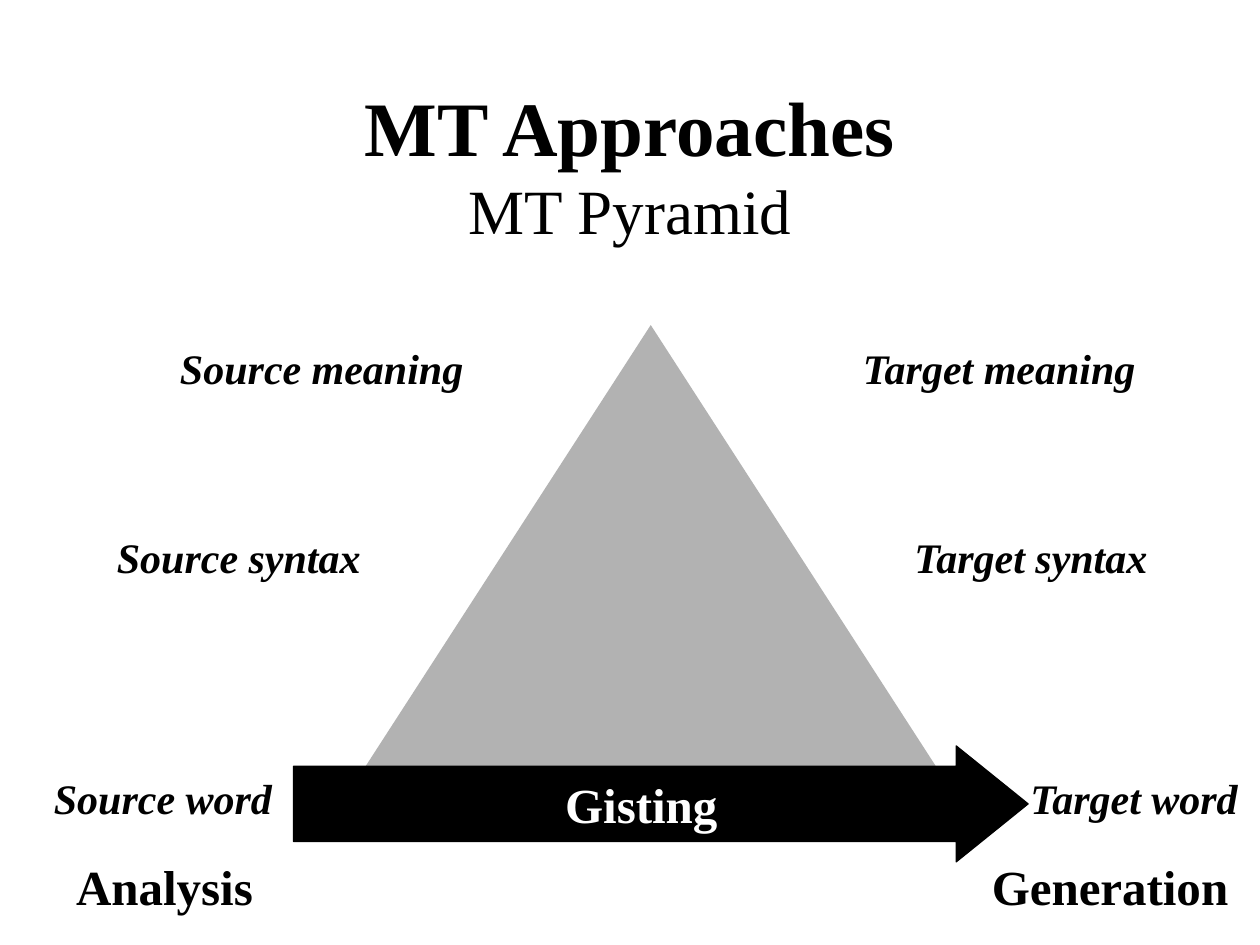
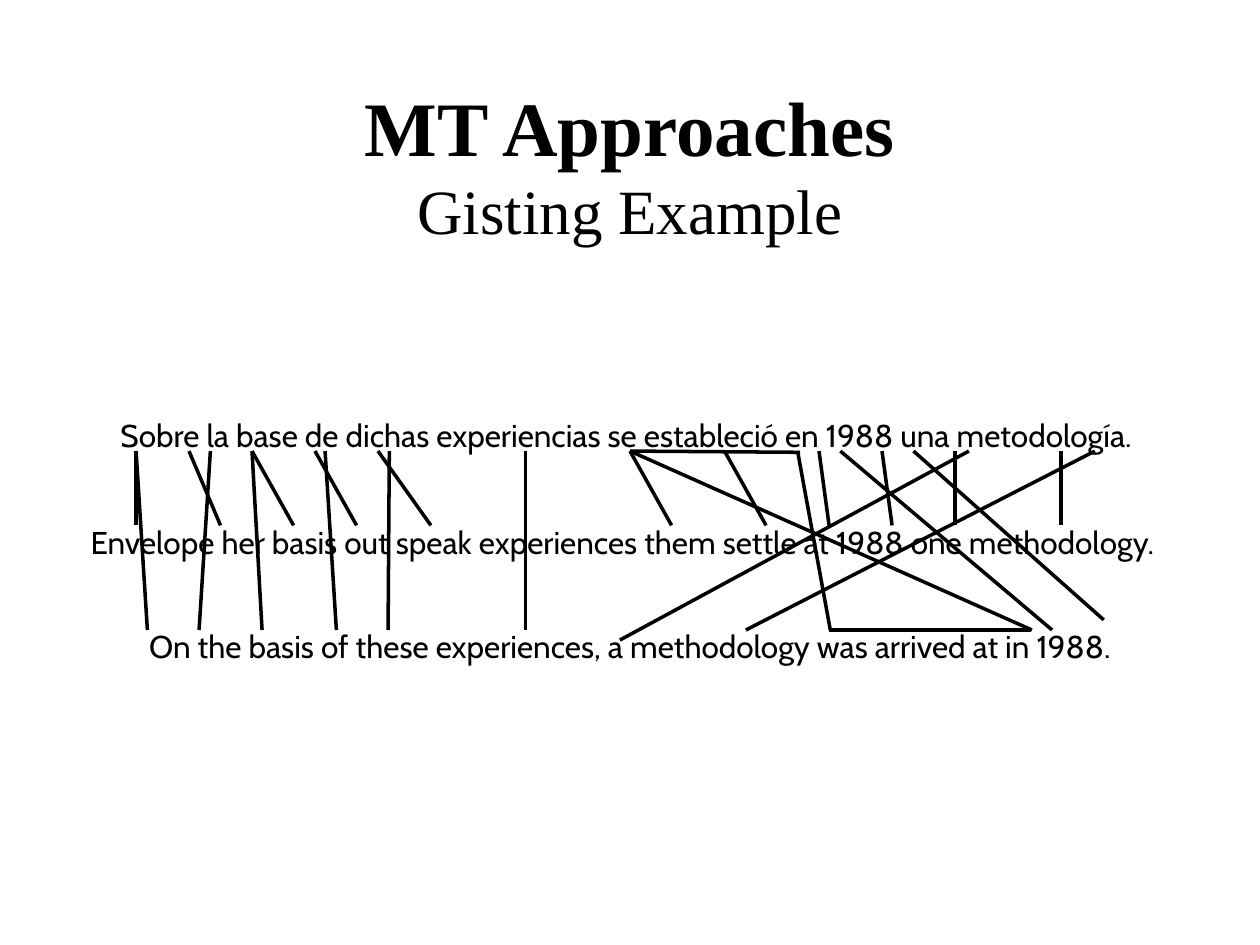
"""Two slides on machine translation: the MT pyramid and a gisting example."""
from pptx import Presentation
from pptx.dml.color import RGBColor
from pptx.enum import shapes, text
from pptx.oxml import parse_xml
from pptx.oxml.ns import nsdecls
from pptx.util import Emu, Pt

PX = 9144
SERIF, SANS = "Times New Roman", "Cabin"
BLACK, WHITE, GRAY = "000000", "FFFFFF", "B2B2B2"
LEFT, CENTER = text.PP_ALIGN.LEFT, text.PP_ALIGN.CENTER

HEADING = "MT Approaches"
LEVELS = [
    ("Source meaning", 133, 267, 309), ("Target meaning", 675, 267, 259),
    ("Source syntax", 83, 417, 284), ("Target syntax", 716, 417, 284),
    ("Source word", 33, 608, 250), ("Target word", 808, 608, 192),
]
PHASES = [("Analysis", 50, 675, 161), ("Generation", 777, 675, 208)]

SENTENCES = [
    ("Sobre la base de dichas experiencias se estableció en 1988 una metodología.", 325, 994),
    ("Envelope her basis out speak experiences them settle at 1988 one methodology.", 410, 988),
    ("On the basis of these experiences, a methodology was arrived at in 1988.", 493, 1000),
]
SPANISH_Y, GIST_Y, ENGLISH_Y = 358, 417, 500
GIST_LINKS = [
    (108, 108), (150, 175), (200, 233), (250, 283), (300, 342), (417, 417),
    (500, 533), (575, 608), (650, 658), (700, 708), (758, 758), (842, 842),
]
ENGLISH_LINKS = [
    (108, 117), (167, 158), (200, 208), (258, 267), (309, 308), (417, 417),
    (500, 819), (633, 659), (667, 835), (869, 592),
]
OTHER_LINKS = [
    (500, SPANISH_Y, 635, SPANISH_Y + 1), (658, ENGLISH_Y, 818, ENGLISH_Y),
    (725, SPANISH_Y, 876, 492), (769, SPANISH_Y, 492, 508),
]


def px(*lengths):
    return [Emu(n * PX) for n in lengths]


def color(value):
    return RGBColor.from_string(value)


def add_run(p, words, size, font=SERIF, fill=BLACK, bold=False, italic=False):
    r = p.add_run()
    r.text = words
    r.font.name, r.font.size = font, Pt(size)
    r.font.bold, r.font.italic = bold, italic
    r.font.color.rgb = color(fill)


def add_box(s, box, align=LEFT, wrap=True):
    tf = s.shapes.add_textbox(*px(*box)).text_frame
    tf.word_wrap = wrap
    tf.paragraphs[0].alignment = align
    return tf


def add_label(s, words, box, size, align=LEFT, wrap=True, **style):
    add_run(add_box(s, box, align, wrap).paragraphs[0], words, size, **style)


def add_block(s, kind, box, fill, adjustments):
    sp = s.shapes.add_shape(kind, *px(*box))
    sp.shadow.inherit = False
    sp.fill.solid()
    sp.fill.fore_color.rgb = color(fill)
    sp.line.fill.background()
    for i, value in enumerate(adjustments):
        sp.adjustments[i] = value
    return sp


def add_link(s, x1, y1, x2, y2):
    link = s.shapes.add_connector(shapes.MSO_CONNECTOR.STRAIGHT, *px(x1, y1, x2, y2))
    link.line.color.rgb = color(BLACK)
    link.line.width = Pt(2)
    link._element.spPr.append(parse_xml(f"<a:effectLst {nsdecls('a')}/>"))


def add_slide(prs, subtitle):
    s = prs.slides.add_slide(prs.slide_layouts[6])
    tf = add_box(s, (75, 67, 850, 125), CENTER)
    tf.vertical_anchor = text.MSO_ANCHOR.MIDDLE
    p = tf.paragraphs[0]
    add_run(p, HEADING, 44, bold=True)
    p.add_line_break()
    add_run(p, subtitle, 36)
    return s


def build_pyramid(prs):
    s = add_slide(prs, "MT Pyramid")
    add_block(s, shapes.MSO_SHAPE.ISOSCELES_TRIANGLE, (258, 258, 517, 400), GRAY, [0.5])
    for words, x, y, width in LEVELS:
        add_label(s, words, (x, y, width, 50), 24, bold=True, italic=True)
    for words, x, y, width in PHASES:
        add_label(s, words, (x, y, width, 57), 28, CENTER, wrap=False, bold=True)
    arrow = add_block(s, shapes.MSO_SHAPE.RIGHT_ARROW, (233, 592, 583, 92), BLACK, [0.65, 0.62])
    arrow.line.color.rgb = color(BLACK)
    arrow.line.width = Pt(0.75)
    add_label(s, "Gisting", (249, 610, 520, 57), 28, CENTER, fill=WHITE, bold=True)


def build_gisting(prs):
    s = add_slide(prs, "Gisting Example")
    for words, y, width in SENTENCES:
        add_label(s, words, (0, y, width, 40), 18, CENTER, font=SANS)
    for links, bottom in ((GIST_LINKS, GIST_Y), (ENGLISH_LINKS, ENGLISH_Y)):
        for x1, x2 in links:
            add_link(s, x1, SPANISH_Y, x2, bottom)
    for ends in OTHER_LINKS:
        add_link(s, *ends)


def main():
    prs = Presentation()
    prs.slide_width, prs.slide_height = px(1000, 750)
    build_pyramid(prs)
    build_gisting(prs)
    prs.save("out.pptx")


if __name__ == "__main__":
    main()
